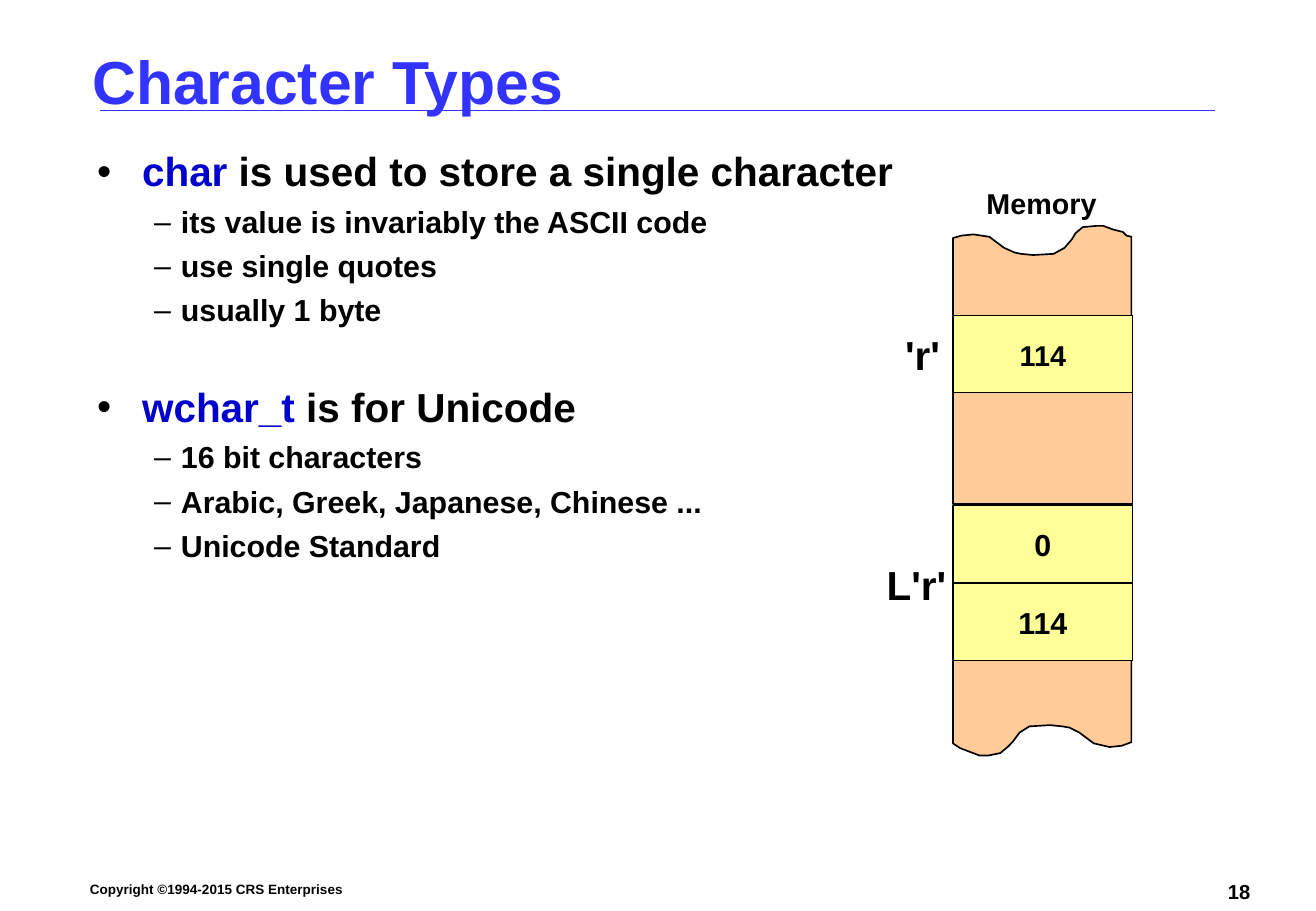
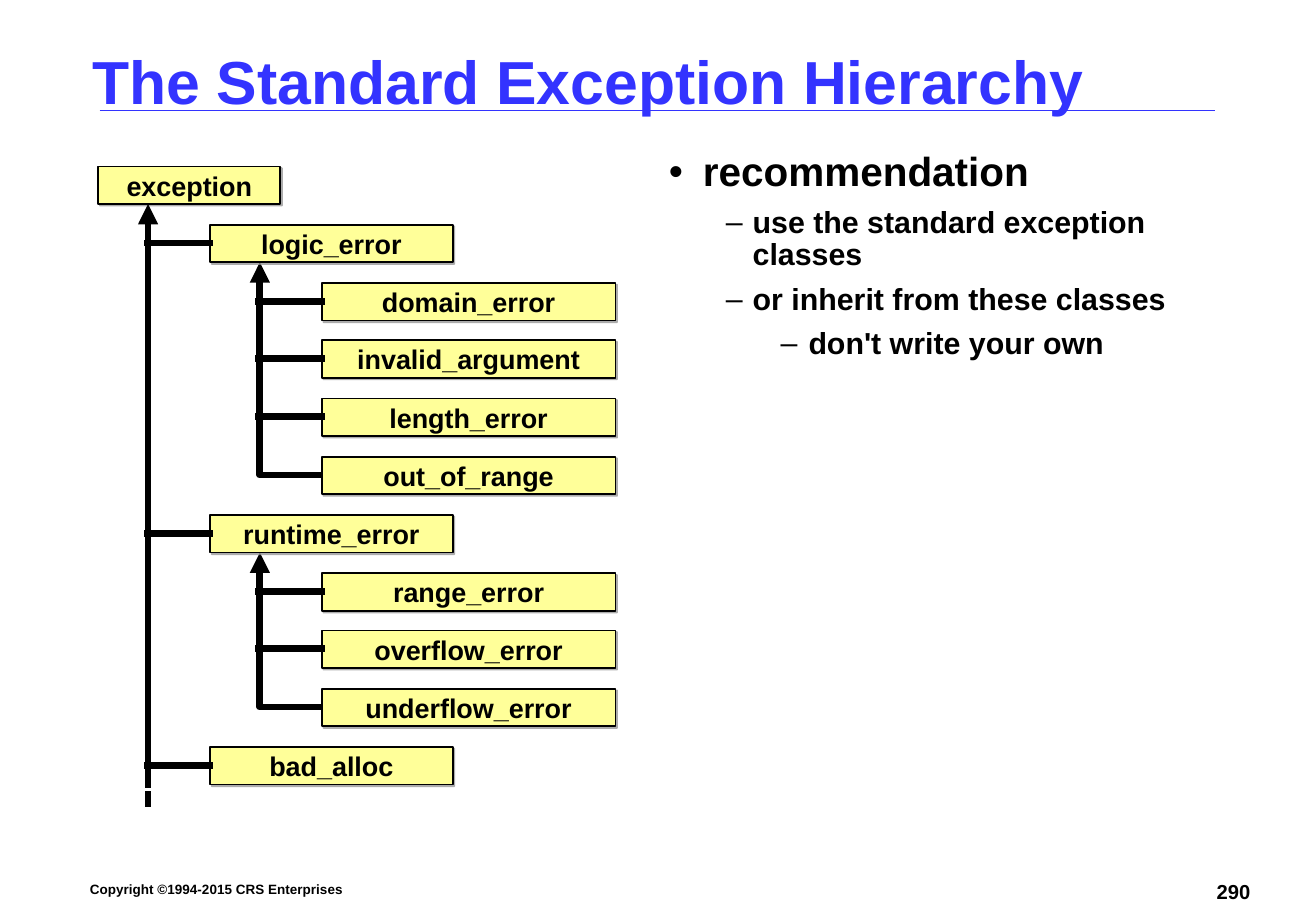
import itertools
from dataclasses import dataclass

import lxml.etree
import pptx
import pptx.dml.color
import pptx.enum.shapes
import pptx.enum.text
import pptx.oxml.ns
import pptx.shapes.base
import pptx.slide
import pptx.text.text
import pptx.util

SCALE = 9144
FONT = "Arial"
COLORS = {
    "black": "000000",
    "title": "3333FF",
    "keyword": "0000CC",
    "yellow": "FFFF99",
    "orange": "FFCC99",
    "shadow": "919191",
}
ALIGN = pptx.enum.text.PP_ALIGN
Point = tuple[int, int]


@dataclass(frozen=True)
class Box:
    left: int
    top: int
    width: int
    height: int


@dataclass(frozen=True)
class Level:
    indent: int
    hanging: int
    mark: str
    size: int
    space_before: float


@dataclass(frozen=True)
class Bullet:
    level: int
    text: str
    keyword: str = ""
    extra_indent: int = 0
    space_before: float | None = None


@dataclass(frozen=True)
class Cell:
    top: int
    height: int
    color: str
    text: str = ""
    size: int = 18


@dataclass(frozen=True)
class Label:
    box: Box
    text: str
    size: int


@dataclass(frozen=True)
class Node:
    text: str
    depth: int
    row: int

    @property
    def box(self) -> Box:
        return Box(81 + 92 * self.depth, round(137 + 47.8 * self.row), (150, 200, 242)[self.depth], 31)

    @property
    def trunk(self) -> Point:
        return self.box.left + 41, self.box.top + self.box.height

    @property
    def joint(self) -> Point:
        return self.box.left, self.box.top + 15


LEVELS = (
    Level(28, 28, "•", 24, 9),
    Level(69, 22, "–", 18, 6.8),
    Level(115, 23, "–", 18, 6.8),
)
CHARACTER_BULLETS = (
    Bullet(0, " is used to store a single character", "char", 9),
    Bullet(1, "its value is invariably the ASCII code"),
    Bullet(1, "use single quotes"),
    Bullet(1, "usually 1 byte"),
    Bullet(0, " is for Unicode", "wchar_t", 9, 35),
    Bullet(1, "16 bit characters"),
    Bullet(1, "Arabic, Greek, Japanese, Chinese ..."),
    Bullet(1, "Unicode Standard"),
)
EXCEPTION_BULLETS = (
    Bullet(0, "recommendation"),
    Bullet(1, "use the standard exception classes"),
    Bullet(1, "or inherit from these classes"),
    Bullet(2, "don't write your own"),
)
MEMORY_CELLS = (
    Cell(260, 64, "yellow", "114", 17),
    Cell(480, 64, "yellow", "114"),
    Cell(323, 92, "orange"),
    Cell(416, 64, "yellow", "0"),
)
MEMORY_LABELS = (
    Label(Box(793, 148, 130, 38), "Memory", 17),
    Label(Box(735, 267, 50, 50), "'r'", 24),
    Label(Box(715, 456, 80, 50), "L'r'", 24),
)
TORN_TOP = (
    (785, 196), (785, 261), (932, 261), (932, 195), (928, 194), (925, 191), (917, 189),
    (909, 186), (903, 186), (892, 187), (886, 192), (883, 197), (877, 204), (868, 209),
    (851, 210), (841, 209), (836, 208), (827, 204), (815, 195), (802, 193), (792, 194),
)
TORN_BOTTOM = (
    (932, 611), (932, 543), (785, 543), (785, 612), (788, 614), (791, 616), (799, 619),
    (807, 622), (814, 622), (824, 620), (830, 615), (834, 611), (840, 603), (848, 598),
    (865, 597), (875, 598), (881, 599), (889, 603), (901, 612), (914, 615), (924, 614),
)
HIERARCHY = (
    ("exception", 0),
    ("logic_error", 1),
    ("domain_error", 2),
    ("invalid_argument", 2),
    ("length_error", 2),
    ("out_of_range", 2),
    ("runtime_error", 1),
    ("range_error", 2),
    ("overflow_error", 2),
    ("underflow_error", 2),
    ("bad_alloc", 1),
)


def px(length: int) -> int:
    return pptx.util.Emu(length * SCALE)


def place(box: Box) -> tuple[int, ...]:
    return tuple(px(value) for value in (box.left, box.top, box.width, box.height))


def rgb(color: str) -> pptx.dml.color.RGBColor:
    return pptx.dml.color.RGBColor.from_string(COLORS[color])


def add_child(parent: lxml.etree._Element, tag: str, **attributes: str) -> lxml.etree._Element:
    child = lxml.etree.SubElement(parent, pptx.oxml.ns.qn(tag))
    for name, value in attributes.items():
        child.set(name, value)
    return child


def set_font(paragraph: pptx.text.text._Paragraph, size: int, color: str = "black") -> None:
    font = paragraph.font
    font.name, font.size, font.bold = FONT, pptx.util.Pt(size), True
    font.color.rgb = rgb(color)


def set_margins(frame: pptx.text.text.TextFrame, horizontal: int, vertical: int) -> None:
    frame.margin_left = frame.margin_right = px(horizontal)
    frame.margin_top = frame.margin_bottom = px(vertical)


def add_text(slide: pptx.slide.Slide, box: Box, text: str, size: int, color: str = "black",
             align: ALIGN = ALIGN.LEFT, margins: Point = (5, 2)) -> None:
    frame = slide.shapes.add_textbox(*place(box)).text_frame
    frame.word_wrap = True
    set_margins(frame, *margins)
    paragraph = frame.paragraphs[0]
    paragraph.text, paragraph.alignment = text, align
    set_font(paragraph, size, color)


def style_line(shape: pptx.shapes.base.BaseShape, color: str, width: float,
               square: bool = False, arrow: bool = False) -> None:
    shape.line.color.rgb = rgb(color)
    shape.line.width = pptx.util.Pt(width)
    outline = shape.element.spPr.find(pptx.oxml.ns.qn("a:ln"))
    if square:
        outline.set("cap", "sq")
    if arrow:
        add_child(outline, "a:headEnd", type="triangle")


def add_line(slide: pptx.slide.Slide, start: Point, end: Point, color: str = "black",
             width: float = 4, square: bool = True, arrow: bool = False) -> None:
    connector = slide.shapes.add_connector(
        pptx.enum.shapes.MSO_CONNECTOR.STRAIGHT, *(px(value) for value in start + end))
    style_line(connector, color, width, square, arrow)
    add_child(connector.element.spPr, "a:effectLst")


def add_outline(slide: pptx.slide.Slide, points: tuple[Point, ...], fill: str = "") -> None:
    builder = slide.shapes.build_freeform(*points[0], scale=SCALE)
    builder.add_line_segments(points[1:], close=bool(fill))
    shape = builder.convert_to_shape()
    shape.shadow.inherit = False
    if fill:
        shape.fill.solid()
        shape.fill.fore_color.rgb = rgb(fill)
        style_line(shape, "black", 1)
    else:
        shape.fill.background()
        style_line(shape, "black", 4, arrow=True)


def add_rectangle(slide: pptx.slide.Slide, box: Box, fill: str, text: str, size: int,
                  width: float, shadow: bool = False) -> None:
    shape = slide.shapes.add_shape(pptx.enum.shapes.MSO_SHAPE.RECTANGLE, *place(box))
    shape.shadow.inherit = False
    shape.fill.solid()
    shape.fill.fore_color.rgb = rgb(fill)
    style_line(shape, "black", width)
    if shadow:
        effects = shape.element.spPr.find(pptx.oxml.ns.qn("a:effectLst"))
        outer = add_child(effects, "a:outerShdw", blurRad="0", dist="17780", dir="2700000",
                          algn="ctr", rotWithShape="0")
        tint = add_child(outer, "a:srgbClr", val=COLORS["shadow"])
        add_child(tint, "a:alpha", val="75000")
    if text:
        frame = shape.text_frame
        frame.word_wrap = False
        frame.vertical_anchor = pptx.enum.text.MSO_ANCHOR.MIDDLE
        set_margins(frame, 10, 5)
        paragraph = frame.paragraphs[0]
        paragraph.text, paragraph.alignment = text, ALIGN.CENTER
        set_font(paragraph, size)


def add_bullets(slide: pptx.slide.Slide, box: Box, bullets: tuple[Bullet, ...]) -> None:
    frame = slide.shapes.add_textbox(*place(box)).text_frame
    frame.word_wrap = True
    set_margins(frame, 9, 5)
    for index, bullet in enumerate(bullets):
        level = LEVELS[bullet.level]
        paragraph = frame.add_paragraph() if index else frame.paragraphs[0]
        paragraph.level = bullet.level
        paragraph.line_spacing = 0.9
        if index:
            paragraph.space_before = pptx.util.Pt(bullet.space_before or level.space_before)
        properties = paragraph._p.get_or_add_pPr()
        properties.set("marL", str(px(level.indent + bullet.extra_indent)))
        properties.set("indent", str(-px(level.hanging + bullet.extra_indent)))
        add_child(add_child(properties, "a:buClr"), "a:srgbClr", val=COLORS["black"])
        add_child(properties, "a:buFont", typeface=FONT)
        add_child(properties, "a:buChar", char=level.mark)
        set_font(paragraph, level.size)
        if bullet.keyword:
            keyword = paragraph.add_run()
            keyword.text = bullet.keyword
            keyword.font.color.rgb = rgb("keyword")
        paragraph.add_run().text = bullet.text


def add_page(presentation: pptx.presentation.Presentation, title: str, number: int) -> pptx.slide.Slide:
    slide = presentation.slides.add_slide(presentation.slide_layouts[6])
    add_line(slide, (82, 91), (1001, 91), "title", 1, square=False)
    add_text(slide, Box(69, 723, 230, 17), "Copyright ©1994-2015 CRS Enterprises", 8)
    add_text(slide, Box(944, 722, 91, 24), str(number), 12, align=ALIGN.RIGHT)
    add_text(slide, Box(71, 34, 941, 64), title, 36, "title")
    return slide


def draw_memory(slide: pptx.slide.Slide) -> None:
    for points in (TORN_TOP, TORN_BOTTOM):
        add_outline(slide, points, "orange")
    for cell in MEMORY_CELLS:
        add_rectangle(slide, Box(785, cell.top, 148, cell.height), cell.color, cell.text, cell.size, 0.75)
    for label in MEMORY_LABELS:
        add_text(slide, label.box, label.text, label.size, align=ALIGN.CENTER, margins=(0, 5))


def draw_hierarchy(slide: pptx.slide.Slide) -> None:
    nodes = [Node(text, depth, row) for row, (text, depth) in enumerate(HIERARCHY)]
    root = nodes[0]
    branches = [(root, node) for node in nodes if node.depth == 1]
    for _, parent in tuple(branches):
        children = list(itertools.takewhile(lambda node: node.depth == 2, nodes[parent.row + 1:]))
        if children:
            last = children.pop()
            add_outline(slide, (parent.trunk, (parent.trunk[0], last.joint[1]), last.joint))
        branches += [(parent, child) for child in children]
    for node in nodes:
        add_rectangle(slide, node.box, "yellow", node.text, 16, 1, shadow=True)
    trunk = root.trunk[0]
    add_line(slide, root.trunk, (trunk, 646), arrow=True)
    add_line(slide, (trunk, 654), (trunk, 662))
    for parent, child in branches:
        add_line(slide, child.joint, (parent.trunk[0] - 1, child.joint[1]))


def main() -> None:
    presentation = pptx.Presentation()
    presentation.slide_width, presentation.slide_height = px(1084), px(750)
    characters = add_page(presentation, "Character Types", 18)
    add_bullets(characters, Box(71, 120, 941, 589), CHARACTER_BULLETS)
    draw_memory(characters)
    exceptions = add_page(presentation, "The Standard Exception Hierarchy", 290)
    draw_hierarchy(exceptions)
    add_bullets(exceptions, Box(542, 120, 470, 589), EXCEPTION_BULLETS)
    presentation.save("out.pptx")


if __name__ == "__main__":
    main()
